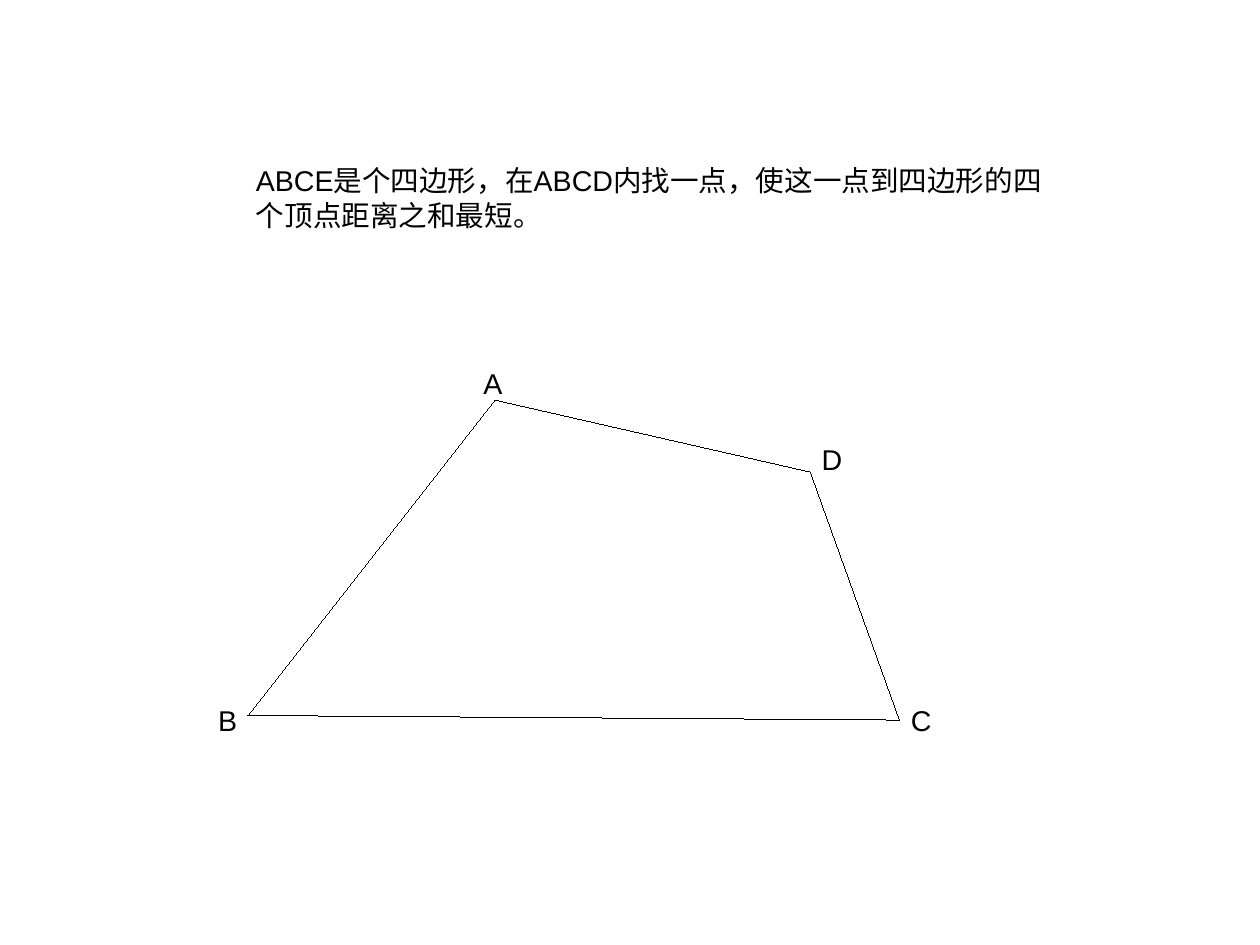
from pptx import Presentation
from pptx.dml.color import RGBColor
from pptx.enum.shapes import MSO_CONNECTOR as Connector
from pptx.enum.text import MSO_AUTO_SIZE as AutoSize
from pptx.util import Inches, Pt
from lxml.etree import SubElement
from pptx.oxml.ns import qn

BLACK = "000000"
CM_PER_INCH = 2.54
PROBLEM = "ABCE是个四边形，在ABCD内找一点，使这一点到四边形的四个顶点距离之和最短。"
VERTICES = {"A": (2.16, 0), "B": (0, 2.76), "C": (5.7, 2.8), "D": (4.92, 0.63)}
LABELS = {
    "A": (-0.2, -0.35, 0.36),
    "B": (-0.36, -0.16, 0.36),
    "C": (0, -0.2, 0.38),
    "D": (0, -0.31, 0.38),
}
SIDES = ("AB", "CB", "AD", "CD")


def color(hex_value):
    return RGBColor.from_string(hex_value)


def add_text(slide, text, left, top, width, height, wrap):
    box = slide.shapes.add_textbox(
        Inches(left), Inches(top), Inches(width), Inches(height)
    )
    frame = box.text_frame
    frame.text = text
    frame.word_wrap = wrap
    frame.auto_size = AutoSize.SHAPE_TO_FIT_TEXT
    font = frame.paragraphs[0].runs[0].font
    font.name = "Arial"
    font.size = Pt(18)
    font.color.rgb = color(BLACK)


def add_side(slide, start, end):
    side = slide.shapes.add_connector(
        Connector.STRAIGHT, *(Inches(value) for value in (*start, *end))
    )
    side.line.color.rgb = color(BLACK)
    properties = side._element.spPr
    properties.find(qn("a:ln")).set("w", "0")
    SubElement(properties, qn("a:effectLst"))


def add_problem(slide, left, top, width, height):
    add_text(slide, PROBLEM, left, top, width, height, True)


def add_quadrilateral(slide, left, top):
    points = {name: (left + x, top + y) for name, (x, y) in VERTICES.items()}
    for start, end in SIDES:
        add_side(slide, points[start], points[end])
    for name, (dx, dy, width) in LABELS.items():
        x, y = points[name]
        add_text(slide, name, x + dx, y + dy, width, 0.38, False)


def main():
    deck = Presentation()
    deck.slide_width = Inches(28 / CM_PER_INCH)
    deck.slide_height = Inches(21 / CM_PER_INCH)
    slide = deck.slides.add_slide(deck.slide_layouts[6])
    add_problem(slide, 2.14, 1.38, 7.31, 0.82)
    add_quadrilateral(slide, 2.17, 3.5)
    deck.save("out.pptx")


if __name__ == "__main__":
    main()
